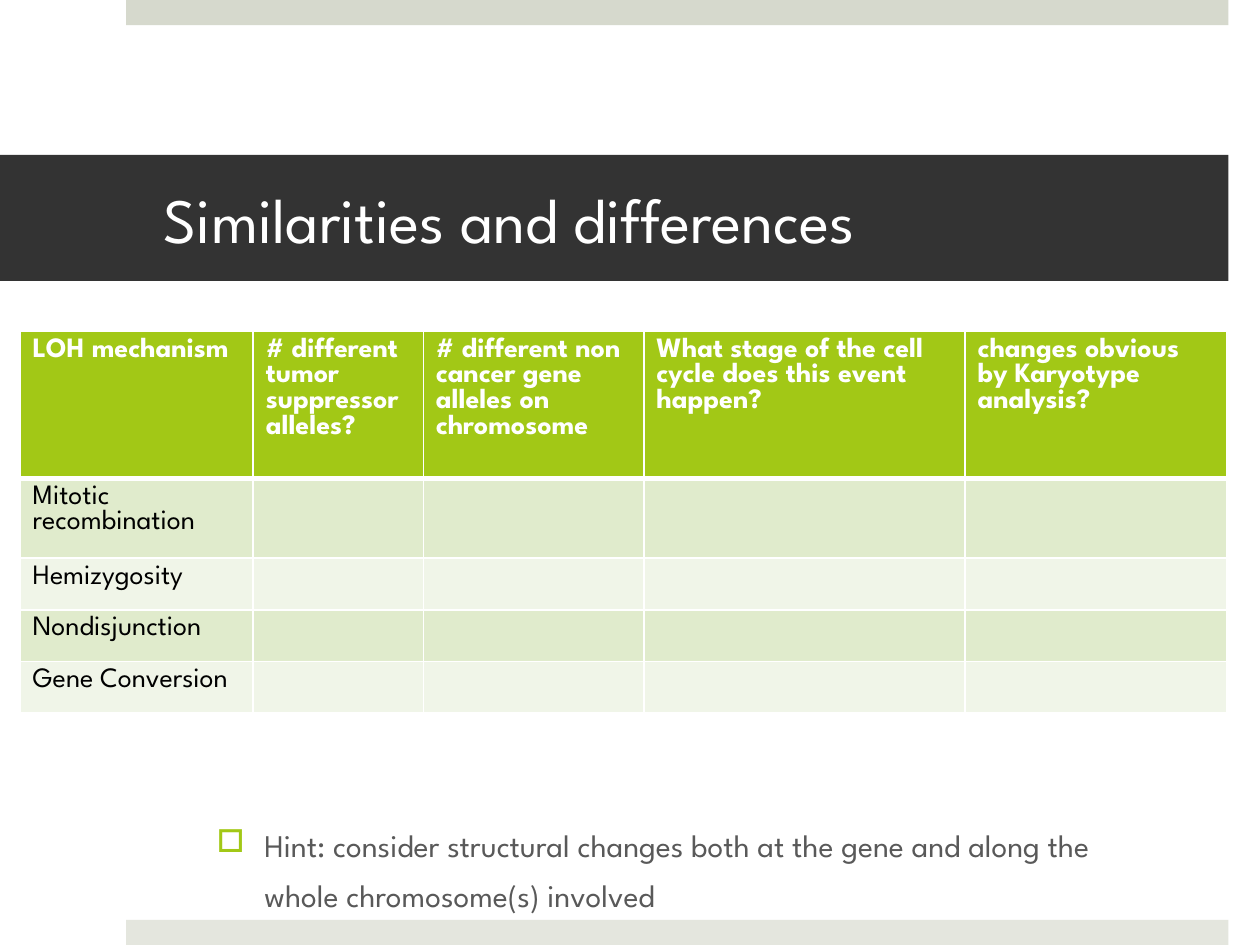
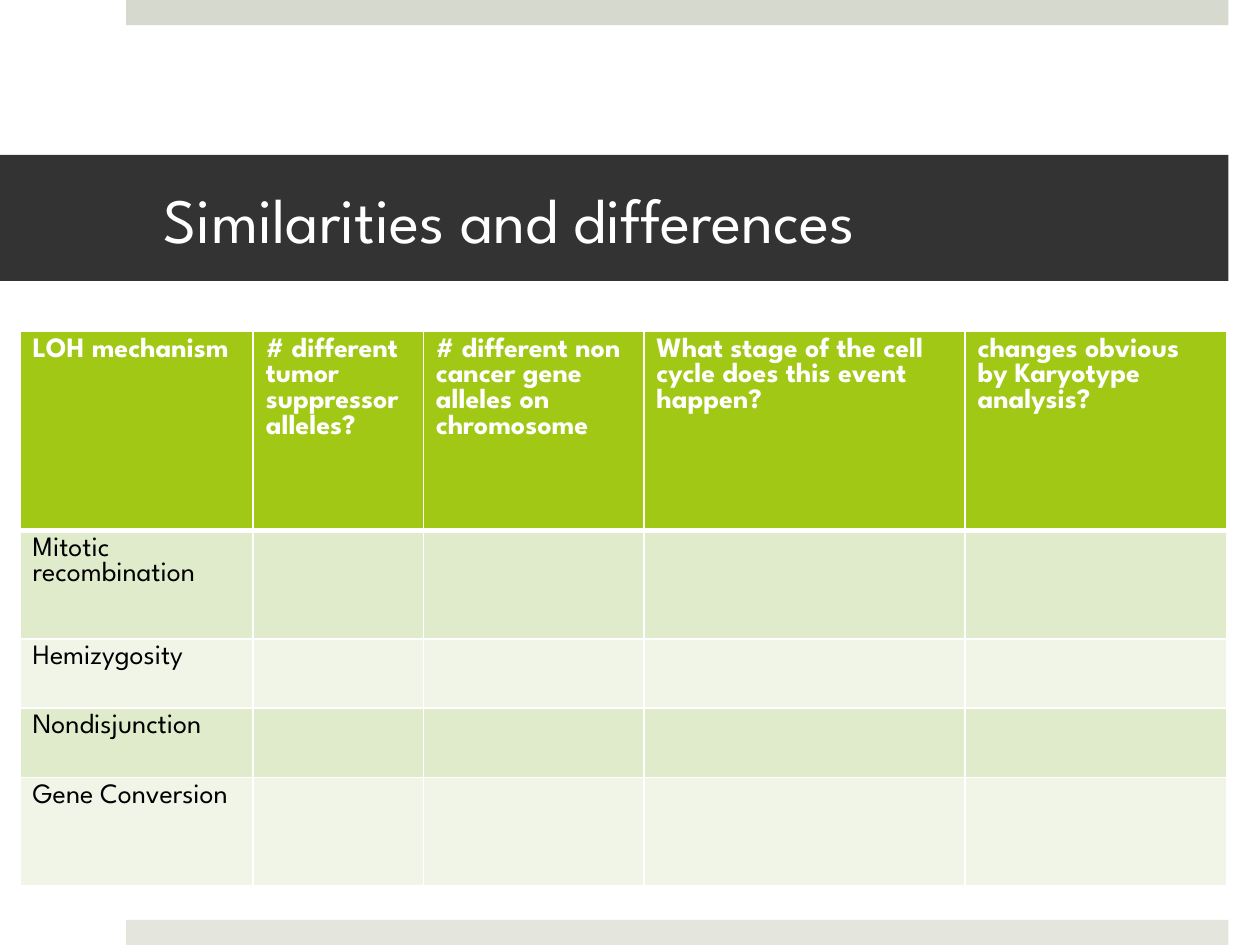
"""Build two slides that compare mechanisms of loss of heterozygosity."""
from lxml.etree import SubElement
from pptx import Presentation
from pptx.dml.color import RGBColor
from pptx.enum.shapes import MSO_SHAPE
from pptx.enum.text import MSO_ANCHOR, MSO_AUTO_SIZE, PP_ALIGN
from pptx.oxml.ns import qn
from pptx.util import Inches, Pt

FONT = "League Spartan"
COLORS = {
    "white": "FFFFFF", "black": "000000", "title": "333333", "hint": "595959",
    "top": "D6D9CD", "bottom": "E4E6DE", "accent": "A2C816",
    "odd": "E0EBCC", "even": "F0F5E8",
}
BANDS = [("top", 0), ("bottom", 7.3)]
HEADERS = [
    "LOH mechanism",
    "# different tumor suppressor alleles?",
    "# different non cancer gene alleles on chromosome",
    "What stage of the cell cycle does this event happen?",
    "changes obvious by Karyotype analysis?",
]
MECHANISMS = ["Mitotic recombination", "Hemizygosity", "Nondisjunction", "Gene Conversion"]
COLUMN_WIDTHS = [1.85, 1.35, 1.75, 2.55, 2.08]
SLIDES = [
    {"rows": [0.41] * 5,
     "hint": "Hint: consider structural changes both at the gene and along the whole chromosome(s) involved"},
    {"rows": [1.58, 0.86, 0.55, 0.55, 0.86], "hint": None},
]


def write(frame, text, size=16, color="black", bold=False):
    para = frame.paragraphs[0]
    para.alignment = PP_ALIGN.LEFT
    span = para.add_run()
    span.text = text
    span.font.name = FONT
    span.font.size = Pt(size)
    span.font.bold = bold
    span.font.color.rgb = RGBColor.from_string(COLORS[color])
    return para


def style_cell(cell, fill, top=1, bottom=1):
    properties = cell._tc.get_or_add_tcPr()
    for side, width in [("L", 1), ("R", 1), ("T", top), ("B", bottom)]:
        line = SubElement(properties, qn(f"a:ln{side}"), w=str(Pt(width)))
        solid = SubElement(line, qn("a:solidFill"))
        SubElement(solid, qn("a:srgbClr"), val=COLORS["white"])
    cell.fill.solid()
    cell.fill.fore_color.rgb = RGBColor.from_string(COLORS[fill])


deck = Presentation()
deck.slide_width, deck.slide_height = Inches(10), Inches(7.5)

for content in SLIDES:
    page = deck.slides.add_slide(deck.slide_layouts[5])

    for color, top in BANDS:
        band = page.shapes.add_shape(
            MSO_SHAPE.RECTANGLE, Inches(1), Inches(top), Inches(8.75), Inches(0.2))
        band.shadow.inherit = False
        band.fill.solid()
        band.fill.fore_color.rgb = RGBColor.from_string(COLORS[color])
        band.line.fill.background()

    title = page.shapes.title
    title.left, title.top = Inches(0), Inches(1.23)
    title.width, title.height = Inches(9.75), Inches(1)
    title.fill.solid()
    title.fill.fore_color.rgb = RGBColor.from_string(COLORS["title"])
    frame = title.text_frame
    frame.auto_size = MSO_AUTO_SIZE.NONE
    frame.vertical_anchor = MSO_ANCHOR.MIDDLE
    frame.margin_left, frame.margin_right = Inches(1.3), Inches(0.3)
    write(frame, "Similarities and differences", size=36, color="white")

    if content["hint"]:
        box = page.shapes.add_textbox(Inches(0.87), Inches(6.42), Inches(8.32), Inches(0.72))
        box.text_frame.word_wrap = True
        para = write(box.text_frame, content["hint"], size=18, color="hint")
        para.space_before = Pt(6)
        para.line_spacing = 1.3
        properties = para._p.get_or_add_pPr()
        properties.set("marL", str(Inches(1.13)))
        properties.set("indent", str(Inches(-0.38)))
        bullet_color = SubElement(properties, qn("a:buClr"))
        SubElement(bullet_color, qn("a:srgbClr"), val=COLORS["accent"])
        SubElement(properties, qn("a:buChar"), char="□")

    table = page.shapes.add_table(
        len(MECHANISMS) + 1, len(HEADERS), Inches(0.16), Inches(2.63),
        Inches(sum(COLUMN_WIDTHS)), Inches(sum(content["rows"]))).table
    for column, width in zip(table.columns, COLUMN_WIDTHS):
        column.width = Inches(width)
    for row, height in zip(table.rows, content["rows"]):
        row.height = Inches(height)

    for index, header in enumerate(HEADERS):
        cell = table.cell(0, index)
        style_cell(cell, "accent", bottom=3)
        write(cell.text_frame, header, color="white", bold=True)
    for number, mechanism in enumerate(MECHANISMS, start=1):
        for index in range(len(HEADERS)):
            style_cell(table.cell(number, index), "odd" if number % 2 else "even",
                       top=3 if number == 1 else 1)
        write(table.cell(number, 0).text_frame, mechanism)

deck.save("out.pptx")
